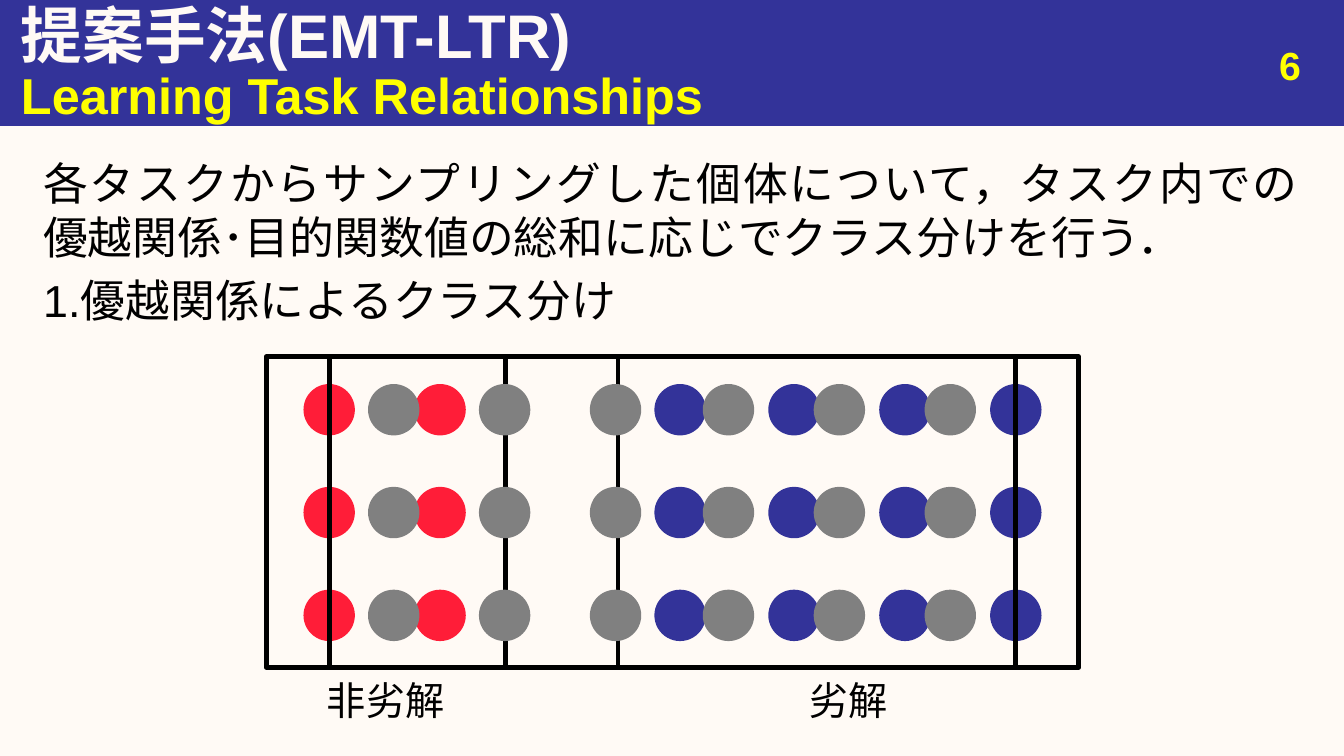
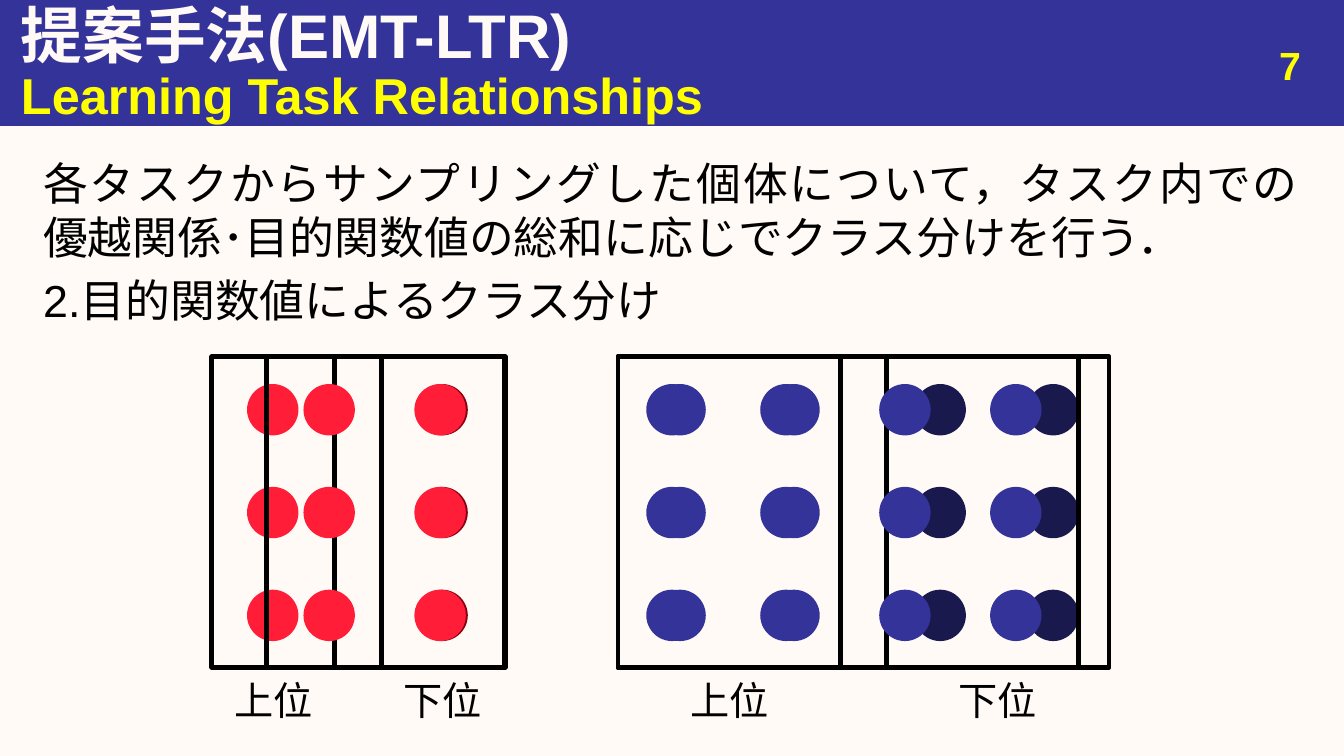
import pptx
import pptx.util
import pptx.dml.color
import pptx.enum.shapes
import pptx.enum.text
from lxml import etree

Inches = pptx.util.Inches
Pt = pptx.util.Pt
Align = pptx.enum.text.PP_ALIGN
Anchor = pptx.enum.text.MSO_ANCHOR
Shapes = pptx.enum.shapes.MSO_SHAPE

FONT = "Arial"
CREAM, NAVY, YELLOW, BLACK = "FFFAF5", "333399", "FFFF00", "000000"
RED, GRAY, DARK_RED, DARK_NAVY = "FF1D38", "808080", "8E0011", "19194D"

WIDTH = 13.33
FRAME_TOP, FRAME_HEIGHT = 3.54, 3.08
ROW_TOPS = [3.81 + 1.02 * row for row in range(3)]
DOT_SIZE = 0.51
LABEL_TOP, LABEL_WIDTH, LABEL_HEIGHT = 6.66, 1.51, 0.57

INTRO = ("各タスクからサンプリングした個体について，タスク内での\v"
         "優越関係･目的関数値の総和に応じでクラス分けを行う．")


def color(value):
    return pptx.dml.color.RGBColor.from_string(value)


def add_span(para, text, size=28, fill=BLACK, bold=False):
    for index, line in enumerate(text.split("\v")):
        if index:
            para.add_line_break()
        span = para.add_run()
        span.text = line
        span.font.name = FONT
        span.font.size = Pt(size)
        span.font.bold = bold
        span.font.color.rgb = color(fill)
        east_asian = etree.Element(pptx.oxml.ns.qn("a:ea"), typeface=FONT)
        span.font._element.find(pptx.oxml.ns.qn("a:latin")).addnext(east_asian)


class Slides:
    """Hold the shared style and the current slide."""

    def __init__(self):
        self.deck = pptx.Presentation()
        self.deck.slide_width = Inches(WIDTH)
        self.deck.slide_height = Inches(7.5)
        self.page = None

    def start(self, number, heading):
        self.page = self.deck.slides.add_slide(self.deck.slide_layouts[6])
        background = self.page.background.fill
        background.solid()
        background.fore_color.rgb = color(CREAM)
        self.shape(Shapes.RECTANGLE, 0, 0, WIDTH, 1.25, fill=NAVY, line=NAVY, weight=0.75)
        self.text(["提案手法(EMT-LTR)"], 0.11, 0, 13.22, 0.67,
                  anchor=Anchor.MIDDLE, size=44, fill=CREAM, bold=True)
        self.text([INTRO, heading], 0.33, 1.5, 12.67, 5.67, align=Align.JUSTIFY, size=32)
        self.text([str(number)], 9.89, 0.36, 3.11, 0.52,
                  align=Align.RIGHT, fill=YELLOW, bold=True)
        self.text(["Learning Task Relationships"], 0.11, 0.62, 13.22, 0.63,
                  anchor=Anchor.MIDDLE, size=36, fill=YELLOW, bold=True)

    def text(self, lines, left, top, width, height, align=Align.LEFT,
             anchor=Anchor.TOP, size=28, **style):
        box = self.page.shapes.add_textbox(
            Inches(left), Inches(top), Inches(width), Inches(height))
        frame = box.text_frame
        frame.word_wrap = True
        frame.vertical_anchor = anchor
        for index, line in enumerate(lines):
            para = frame.add_paragraph() if index else frame.paragraphs[0]
            para.alignment = align
            if index:
                para.space_before = Pt(round(size * 0.2, 1))
            add_span(para, line, size=size, **style)

    def shape(self, kind, left, top, width, height, fill=None, line=None, weight=3.5):
        shape = self.page.shapes.add_shape(
            kind, Inches(left), Inches(top), Inches(width), Inches(height))
        shape.shadow.inherit = False
        if fill:
            shape.fill.solid()
            shape.fill.fore_color.rgb = color(fill)
        else:
            shape.fill.background()
        if line:
            shape.line.color.rgb = color(line)
            shape.line.width = Pt(weight)
        else:
            shape.line.fill.background()

    def cluster(self, left, width, columns, fill, label=None):
        for column in columns:
            for top in ROW_TOPS:
                self.shape(Shapes.OVAL, column, top, DOT_SIZE, DOT_SIZE, fill=fill)
        self.shape(Shapes.RECTANGLE, left, FRAME_TOP, width, FRAME_HEIGHT, line=BLACK)
        if label:
            self.text([label], left + (width - LABEL_WIDTH) / 2, LABEL_TOP,
                      LABEL_WIDTH, LABEL_HEIGHT, align=Align.CENTER)

    def good_solutions(self, label=None):
        self.cluster(2.64, 2.37, [3.01, 4.11], RED, label)

    def dominated_solutions(self, label=None):
        self.cluster(6.13, 4.57, [6.49, 7.62, 8.72, 9.82], NAVY, label)


def main():
    slides = Slides()

    slides.start(6, "1.優越関係によるクラス分け")
    slides.good_solutions("非劣解")
    slides.dominated_solutions("劣解")
    slides.cluster(3.27, 6.8, [3.65, 4.75, 5.85, 6.97, 8.07, 9.17], GRAY)

    slides.start(7, "2.目的関数値によるクラス分け")
    slides.cluster(2.1, 1.22, [2.45], RED, "上位")
    slides.cluster(3.78, 1.22, [4.13], DARK_RED, "下位")
    slides.cluster(6.13, 2.21, [6.41, 7.54], NAVY, "上位")
    slides.cluster(8.79, 2.21, [9.07, 10.19], DARK_NAVY, "下位")
    slides.good_solutions()
    slides.dominated_solutions()

    slides.deck.save("out.pptx")


if __name__ == "__main__":
    main()
